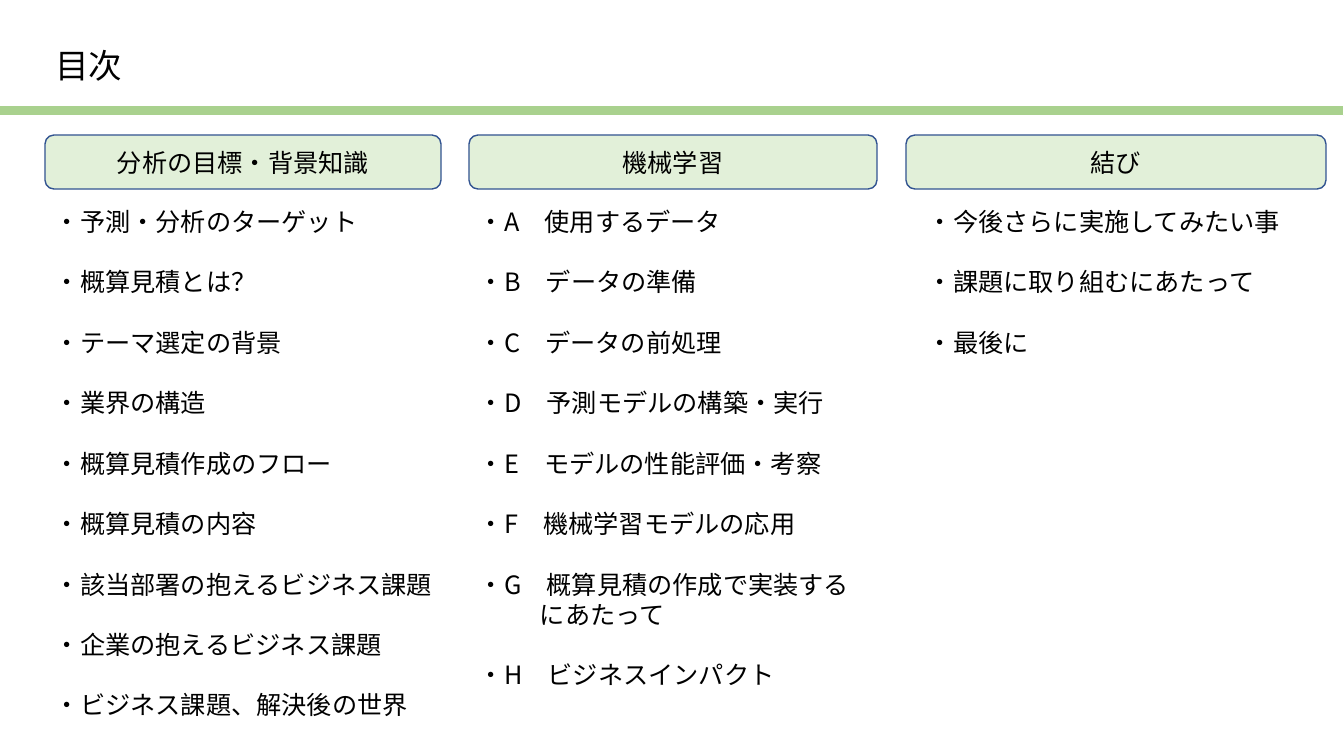
from typing import NamedTuple

from lxml.etree import SubElement
from pptx import Presentation
from pptx.dml.color import RGBColor
from pptx.enum.shapes import MSO_SHAPE
from pptx.enum.text import MSO_ANCHOR, MSO_AUTO_SIZE, PP_ALIGN
from pptx.oxml.ns import qn
from pptx.util import Emu, Pt

FONT = "Noto Sans CJK JP"
SCALE = 914400 / 100.8
HANG = 61


class Box(NamedTuple):
    left: int
    top: int
    width: int
    height: int


class Column(NamedTuple):
    head: str
    left: int
    width: int
    list_box: Box
    items: list[str]


COLUMNS = [
    Column("分析の目標・背景知識", 45, 396, Box(45, 201, 422, 529), [
        "・予測・分析のターゲット",
        "・概算見積とは？",
        "・テーマ選定の背景",
        "・業界の構造",
        "・概算見積作成のフロー",
        "・概算見積の内容",
        "・該当部署の抱えるビジネス課題",
        "・企業の抱えるビジネス課題",
        "・ビジネス課題、解決後の世界",
    ]),
    Column("機械学習", 469, 408, Box(469, 201, 530, 499), [
        "・A　使用するデータ",
        "・B　データの準備",
        "・C　データの前処理",
        "・D　予測モデルの構築・実行",
        "・E　モデルの性能評価・考察",
        "・F　機械学習モデルの応用",
        "・G　概算見積の作成で実装する\vにあたって",
        "・H　ビジネスインパクト",
    ]),
    Column("結び", 906, 420, Box(918, 201, 380, 163), [
        "・今後さらに実施してみたい事",
        "・課題に取り組むにあたって",
        "・最後に",
    ]),
]


def px(count: int) -> Emu:
    return Emu(round(count * SCALE))


def color(code: str) -> RGBColor:
    return RGBColor.from_string(code)


def place(box: Box) -> tuple[Emu, ...]:
    return tuple(px(side) for side in box)


def write(frame, lines: list[str], *, size=18, align=PP_ALIGN.LEFT,
          anchor=MSO_ANCHOR.TOP, pitch=None, gap=0, hang=0) -> None:
    frame.word_wrap = True
    frame.auto_size = MSO_AUTO_SIZE.NONE
    frame.vertical_anchor = anchor
    for index, line in enumerate(lines):
        para = frame.add_paragraph() if index else frame.paragraphs[0]
        para.text = line
        para.alignment = align
        para.line_spacing = pitch
        para.space_before = Pt(gap if index else 0)
        if hang:
            props = para._p.get_or_add_pPr()
            props.set("marL", str(px(hang)))
            props.set("indent", str(-px(hang)))
        for run in para.runs:
            run.font.size = Pt(size)
            run.font.color.rgb = color("000000")
            run.font.name = FONT
            SubElement(run.font._element, qn("a:ea"), typeface=FONT)


def panel(slide, kind: MSO_SHAPE, box: Box, fill: str, line: str, weight: float):
    shape = slide.shapes.add_shape(kind, *place(box))
    shape.shadow.inherit = False
    shape.fill.solid()
    shape.fill.fore_color.rgb = color(fill)
    shape.line.color.rgb = color(line)
    shape.line.width = Pt(weight)
    return shape


def draw(slide, column: Column) -> None:
    body = slide.shapes.add_textbox(*place(column.list_box))
    write(body.text_frame, column.items, pitch=Pt(21.6), gap=21.6,
          hang=HANG if any("\v" in item for item in column.items) else 0)
    head = panel(slide, MSO_SHAPE.ROUNDED_RECTANGLE,
                 Box(column.left, 135, column.width, 54), "E2F0D9", "325491", 1)
    write(head.text_frame, [column.head], align=PP_ALIGN.CENTER,
          anchor=MSO_ANCHOR.MIDDLE)


deck = Presentation()
deck.slide_width, deck.slide_height = px(1344), px(756)
slide = deck.slides.add_slide(deck.slide_layouts[5])
title = slide.shapes.title
title.left, title.top, title.width, title.height = place(Box(45, 44, 616, 60))
write(title.text_frame, ["目次"], size=24, pitch=0.9)
panel(slide, MSO_SHAPE.RECTANGLE, Box(-1, 105, 1345, 11), "A9D18E", "FFFFFF", 0.75)
for column in COLUMNS:
    draw(slide, column)
deck.save("out.pptx")
